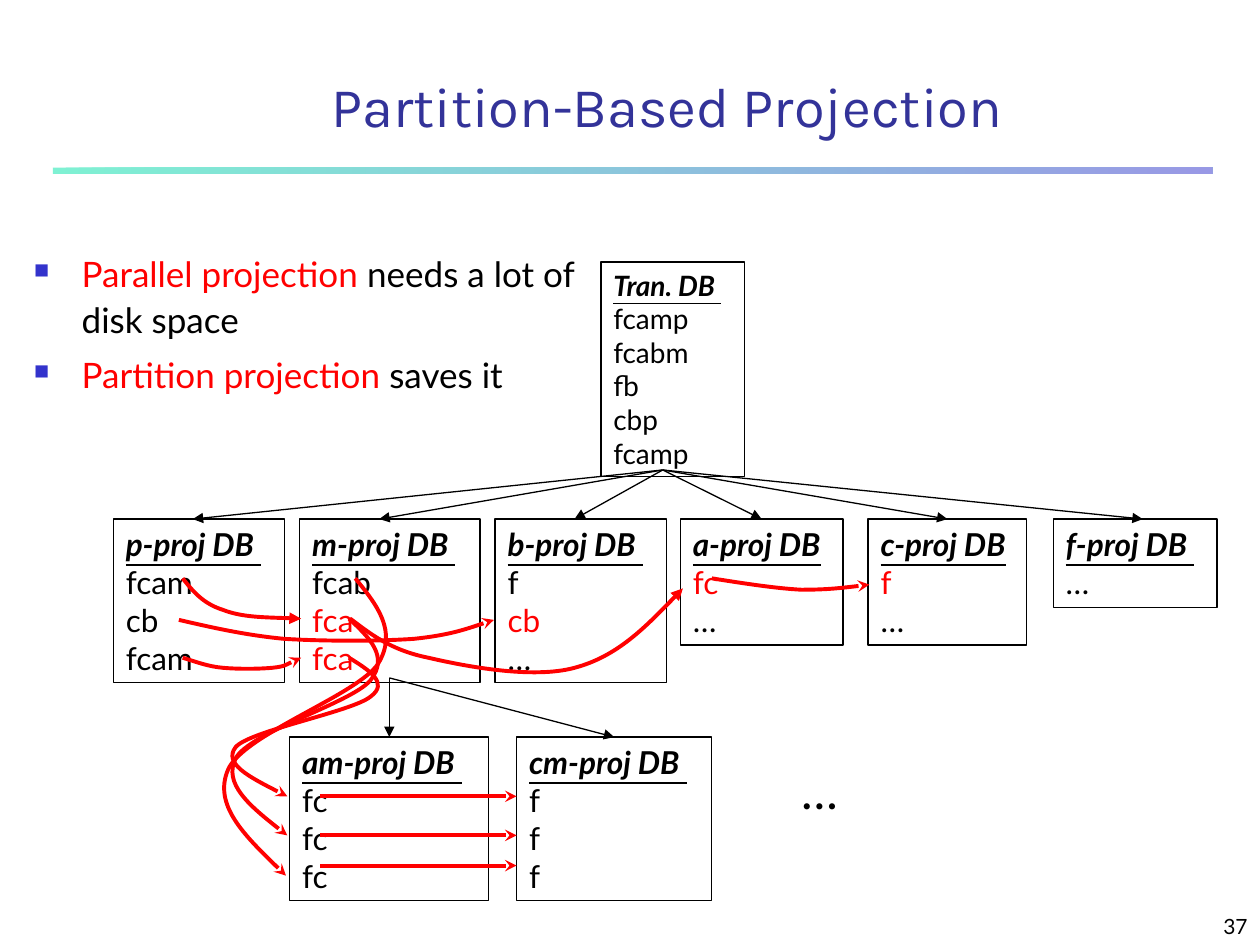
from pptx import Presentation
from pptx.dml.color import RGBColor
from pptx.enum.shapes import MSO_CONNECTOR, MSO_SHAPE
from pptx.enum.text import MSO_ANCHOR, MSO_AUTO_SIZE, PP_ALIGN
from pptx.oxml.ns import qn
from pptx.util import Inches, Pt
from lxml.etree import SubElement

COLORS = {"black": "000000", "red": "FF0000", "title": "333399",
          "bullet": "3333CC", "mint": "00E4A8"}


def style_line(shape, color, width, head=None):
    """Set a line's colour, width and optional end arrowhead."""
    shape.line.color.rgb = RGBColor.from_string(COLORS[color])
    shape.line.width = Pt(width)
    if head:
        SubElement(shape.line._get_or_add_ln(), qn("a:tailEnd"), type=head)


def add_text(frame, paragraphs, size, font="Lato", align=PP_ALIGN.LEFT):
    """Write paragraphs, each a list of (text, colour) spans."""
    for index, spans in enumerate(paragraphs):
        para = frame.paragraphs[0] if index == 0 else frame.add_paragraph()
        para.alignment = align
        para.font.size = Pt(size)
        para.font.name = font
        for text, color in spans:
            span = para.add_run()
            span.text = text
            span.font.color.rgb = RGBColor.from_string(COLORS[color])


deck = Presentation()
deck.slide_width, deck.slide_height = Inches(10), Inches(7.5)
page = deck.slides.add_slide(deck.slide_layouts[6])

# Gradient rule under the title
rule = page.shapes.add_shape(MSO_SHAPE.RECTANGLE, Inches(0.42), Inches(1.33),
                             Inches(9.2), Inches(0.05))
rule.shadow.inherit = False
rule.line.fill.background()
rule.fill.gradient()
rule.fill.gradient_angle = 0
for stop, position, color in zip(rule.fill.gradient_stops, (0, 1), ("mint", "bullet")):
    stop.position = position
    stop.color.rgb = RGBColor.from_string(COLORS[color])
for color_node in rule._element.spPr.find(qn("a:gradFill")).iter(qn("a:srgbClr")):
    SubElement(color_node, qn("a:alpha"), val="50000")

# Title, bullets, ellipsis and page number
texts = [
    (1, 0.5, 8.59, 0.67, [[("Partition-Based Projection", "title")]],
     32, "Karla", PP_ALIGN.CENTER, MSO_ANCHOR.MIDDLE),
    (6.26, 5.99, 0.5, 0.57, [[("…", "black")]],
     28, "Lato", PP_ALIGN.LEFT, MSO_ANCHOR.TOP),
    (7.92, 7.08, 2.08, 0.42, [[("37", "black")]],
     12, "Lato", PP_ALIGN.RIGHT, MSO_ANCHOR.BOTTOM),
    (0.17, 1.92, 4.5, 1.5,
     [[("Parallel projection ", "red"), ("needs a lot of disk space", "black")],
      [("Partition projection ", "red"), ("saves it", "black")]],
     20, "Lato", PP_ALIGN.LEFT, MSO_ANCHOR.TOP),
]
for left, top, width, height, paragraphs, size, font, align, anchor in texts:
    box = page.shapes.add_textbox(Inches(left), Inches(top), Inches(width), Inches(height))
    box.text_frame.word_wrap = True
    box.text_frame.vertical_anchor = anchor
    add_text(box.text_frame, paragraphs, size, font, align)

# Square bullets on the last text box
for para in box.text_frame.paragraphs:
    para.line_spacing = 1.1
    para.space_before = Pt(5)
    properties = para._p.get_or_add_pPr()
    properties.set("marL", str(Inches(0.38)))
    properties.set("indent", str(-Inches(0.38)))
    bullet_color = SubElement(properties, qn("a:buClr"))
    SubElement(bullet_color, qn("a:srgbClr"), val=COLORS["bullet"])
    SubElement(properties, qn("a:buSzPct"), val="60000")
    SubElement(properties, qn("a:buChar"), char="■")
    # Paragraph font defaults must follow the bullet settings
    properties.append(properties.find(qn("a:defRPr")))

# Databases: left, top, width, height, text size, heading, rows, red rows
databases = {
    "tran": (4.77, 2.08, 1.14, 1.7, 16, "Tran. DB ",
             ["fcamp", "fcabm", "fb", "cbp", "fcamp"], ()),
    "p": (0.9, 4.12, 1.36, 1.3, 18, "p-proj DB ", ["fcam", "cb", "fcam"], ()),
    "m": (2.38, 4.12, 1.43, 1.3, 18, "m-proj DB ", ["fcab", "fca", "fca"], (1, 2)),
    "b": (3.93, 4.12, 1.36, 1.3, 18, "b-proj DB ", ["f", "cb", "…"], (1,)),
    "a": (5.4, 4.12, 1.29, 1, 18, "a-proj DB", ["fc", "…"], (0,)),
    "c": (6.89, 4.12, 1.26, 1, 18, "c-proj DB", ["f", "…"], (0,)),
    "f": (8.36, 4.12, 1.3, 0.7, 18, "f-proj DB ", ["…"], ()),
    "am": (2.3, 5.85, 1.58, 1.3, 18, "am-proj DB ", ["fc"] * 3, ()),
    "cm": (4.1, 5.85, 1.55, 1.3, 18, "cm-proj DB ", ["f"] * 3, ()),
}
boxes = {}
for name, (left, top, width, height, size, heading, rows, red_rows) in databases.items():
    box = page.shapes.add_shape(MSO_SHAPE.RECTANGLE, Inches(left), Inches(top),
                                Inches(width), Inches(height))
    box.shadow.inherit = False
    box.fill.background()
    style_line(box, "black", 0.75)
    frame = box.text_frame
    frame.word_wrap = False
    frame.auto_size = MSO_AUTO_SIZE.SHAPE_TO_FIT_TEXT
    frame.vertical_anchor = MSO_ANCHOR.TOP
    add_text(frame, [[(heading, "black")]] + [
        [(row, "red" if index in red_rows else "black")] for index, row in enumerate(rows)
    ], size)
    heading_font = frame.paragraphs[0].runs[0].font
    heading_font.bold = heading_font.italic = heading_font.underline = True
    boxes[name] = box

# Straight arrows: start, end, colour, width, head, box joined at its top middle
tran_exit, m_exit = (5.26, 3.73), (3.09, 5.38)
arrows = [(tran_exit, (x, 4.12), "black", 0.75, "triangle", target)
          for x, target in ((1.53, None), (3.01, None), (4.56, None),
                            (6.04, "a"), (7.52, "c"), (9.07, None))]
arrows += [(m_exit, (x, 5.85), "black", 0.75, "triangle", target)
           for x, target in ((3.09, "am"), (4.88, "cm"))]
arrows += [((2.54, y), (4.1, y), "red", 2.25, "stealth", None)
           for y in (6.32, 6.63, 6.87)]
for start, end, color, width, head, target in arrows:
    arrow = page.shapes.add_connector(MSO_CONNECTOR.STRAIGHT,
                                      *(Inches(value) for value in start + end))
    SubElement(arrow._element.spPr, qn("a:effectLst"))
    style_line(arrow, color, width, head)
    if target:
        arrow.end_connect(boxes[target], 0)

# Curved arrows: head, start point, then three points per Bezier segment
curves = [
    ("triangle", [(1.45, 4.59), (1.53, 4.69), (1.61, 4.79), (1.77, 4.84),
                  (1.92, 4.9), (2.16, 4.9), (2.39, 4.91)]),
    ("triangle", [(2.78, 4.91), (2.94, 5.03), (3.1, 5.16), (3.4, 5.22), (3.7, 5.29),
                  (4.23, 5.39), (4.56, 5.3), (4.9, 5.21), (5.16, 4.94), (5.42, 4.67)]),
    ("stealth", [(5.65, 4.59), (5.9, 4.63), (6.16, 4.67), (6.36, 4.68),
                 (6.57, 4.68), (6.73, 4.66), (6.9, 4.64)]),
    ("stealth", [(1.45, 5.22), (1.55, 5.25), (1.65, 5.29), (1.77, 5.3), (1.88, 5.31),
                 (2.05, 5.31), (2.16, 5.3), (2.26, 5.29), (2.32, 5.25), (2.39, 5.22)]),
    ("stealth", [(2.77, 5.22), (2.93, 5.32), (3.09, 5.42), (2.94, 5.53), (2.79, 5.65),
                 (1.98, 5.8), (1.87, 5.93), (1.77, 6.06), (2.02, 6.19), (2.28, 6.32)]),
    ("stealth", [(2.77, 4.91), (2.93, 5.06), (3.09, 5.21), (2.94, 5.4), (2.79, 5.58),
                 (1.98, 5.81), (1.87, 6.02), (1.77, 6.22), (2.02, 6.43), (2.28, 6.63)]),
    ("stealth", [(2.82, 4.59), (2.99, 4.8), (3.16, 5.01), (3, 5.27), (2.83, 5.52),
                 (1.93, 5.83), (1.81, 6.11), (1.69, 6.39), (1.98, 6.67), (2.27, 6.95)]),
    ("stealth", [(1.42, 4.92), (1.68, 4.98), (1.94, 5.04), (2.25, 5.07), (2.56, 5.09),
                 (3.01, 5.09), (3.29, 5.07), (3.57, 5.04), (3.74, 4.98), (3.92, 4.92)]),
]
for head, points in curves:
    points = [(Inches(x), Inches(y)) for x, y in points]
    builder = page.shapes.build_freeform(*points[0])
    builder.add_line_segments(points[1:], close=False)
    curve = builder.convert_to_shape()
    curve.shadow.inherit = False
    curve.fill.background()
    style_line(curve, "red", 2.25, head)
    # Turn each three straight steps into one cubic segment
    steps = list(curve._element.iter(qn("a:lnTo")))
    outline = steps[0].getparent()
    for first in range(0, len(steps), 3):
        segment = SubElement(outline, qn("a:cubicBezTo"))
        for step in steps[first:first + 3]:
            segment.append(step[0])
            outline.remove(step)

deck.save("out.pptx")
